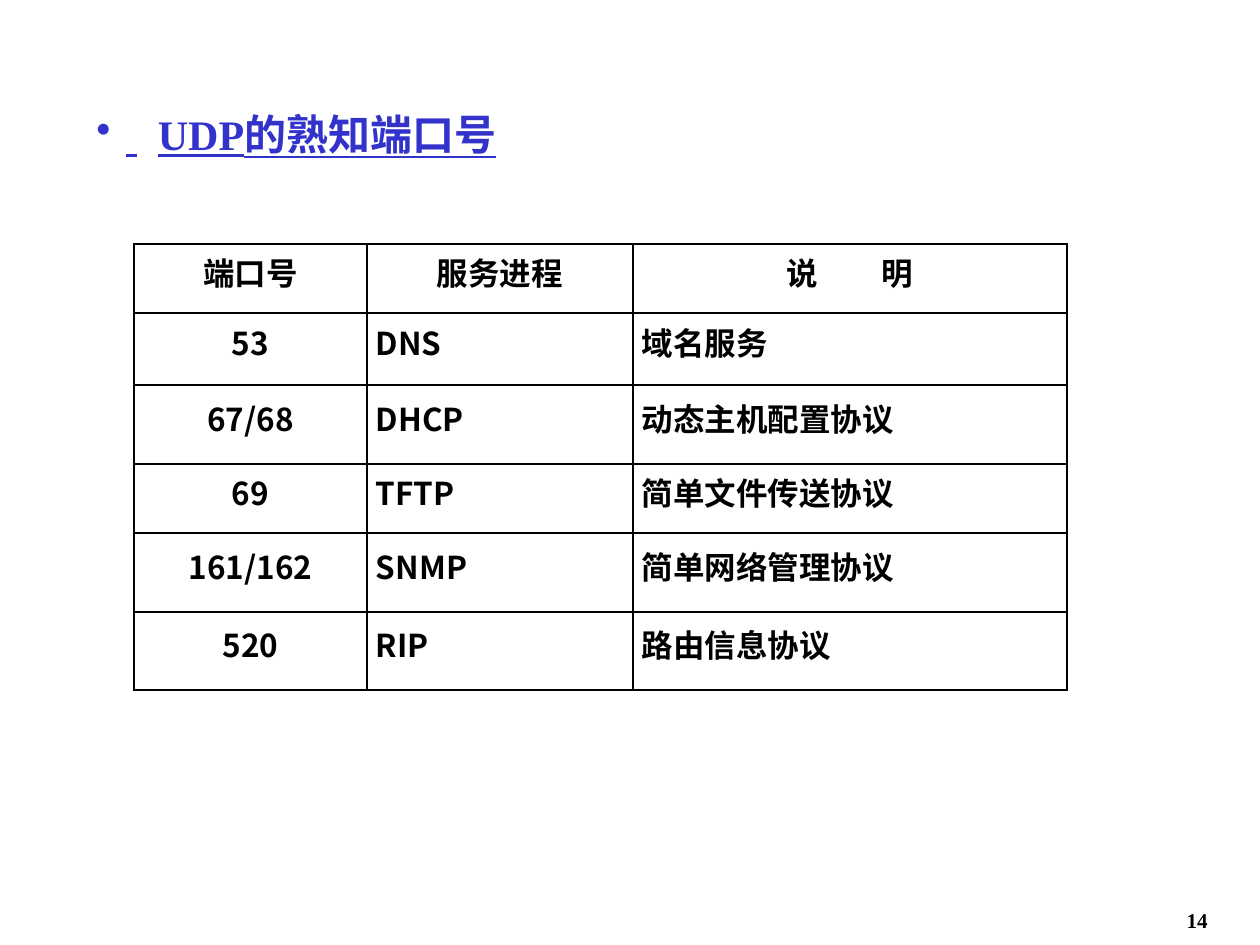
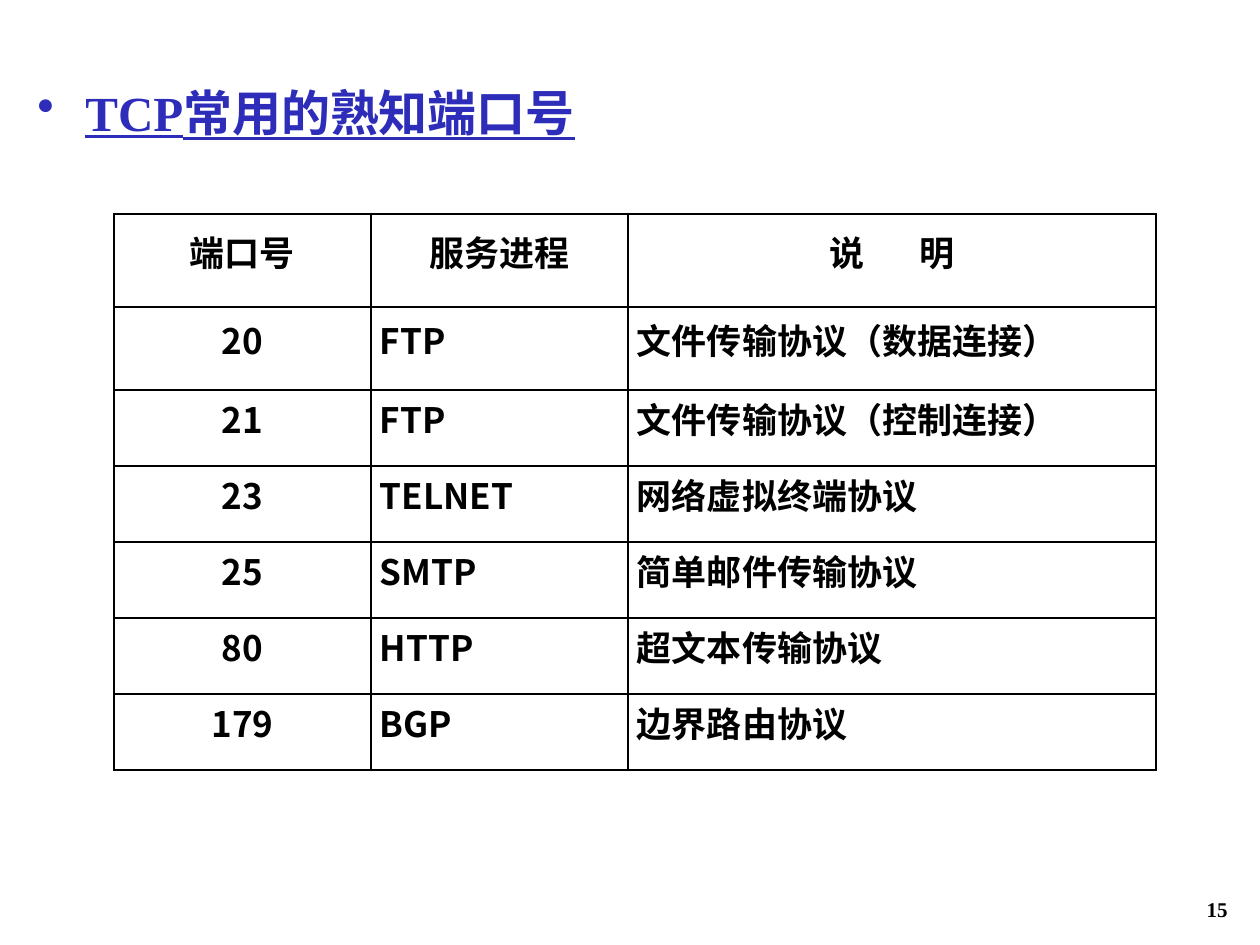
from itertools import accumulate
from lxml import etree
from pptx import Presentation, util as u
from pptx.dml.color import RGBColor
from pptx.enum import text as t
from pptx.oxml import ns

PX = 914400 // 126
SERIF, SANS = "Times New Roman", "Noto Sans CJK JP"
BLACK = RGBColor(0, 0, 0)
BLUE = RGBColor(0x33, 0x33, 0xCC)
NAVY = RGBColor(0x2D, 0x2D, 0xB9)
HEAD = ("端口号", "服务进程", "说 明")

# gap: points added to the single space of a text
# box: left, top, width, height in px
SLIDES = [
    dict(
        title=dict(text=" UDP的熟知端口号", gap=12, size=24, color=BLUE,
                   box=(84, 55, 1051, 158), hang=30, anchor=t.MSO_ANCHOR.MIDDLE),
        page=dict(text="14", box=(958, 901, 262, 44)),
        table=dict(at=(134, 244), cols=(233, 266, 434),
                   rows=(69, 72, 79, 69, 79, 78), size=18, gap=32, foot=1,
                   body=[("53", "DNS", "域名服务"),
                         ("67/68", "DHCP", "动态主机配置协议"),
                         ("69", "TFTP", "简单文件传送协议"),
                         ("161/162", "SNMP", "简单网络管理协议"),
                         ("520", "RIP", "路由信息协议")]),
    ),
    dict(
        title=dict(text="TCP常用的熟知端口号", gap=0, size=28, color=NAVY,
                   box=(25, 76, 1131, 118), hang=48, anchor=t.MSO_ANCHOR.TOP),
        page=dict(text="15", box=(978, 890, 262, 35)),
        table=dict(at=(114, 214), cols=(257, 257, 528),
                   rows=(93, 83) + (76,) * 5, size=20, gap=27, foot=1.5,
                   body=[("20", "FTP", "文件传输协议（数据连接）"),
                         ("21", "FTP", "文件传输协议（控制连接）"),
                         ("23", "TELNET", "网络虚拟终端协议"),
                         ("25", "SMTP", "简单邮件传输协议"),
                         ("80", "HTTP", "超文本传输协议"),
                         ("179", "BGP", "边界路由协议")]),
    ),
]


def px(*nums):
    return [n * PX for n in nums]


def sub(node, tag, **attrs):
    return etree.SubElement(node, ns.qn(tag), attrs)


def write(par, words, face, size, color=BLACK, gap=0):
    """Fill a paragraph in bold; gap widens its first space."""
    font = par.font
    font.name, font.size, font.bold = face, u.Pt(size), True
    font.color.rgb = color
    sub(par._p.pPr.find(ns.qn("a:defRPr")), "a:ea", typeface=SANS)
    for part in words.partition(" ") if gap else [words]:
        if part:
            run = par.add_run()
            run.text = part
            if part == " ":
                run._r.get_or_add_rPr().set("spc", str(gap * 100))


def add_box(slide, box, anchor=t.MSO_ANCHOR.TOP):
    frame = slide.shapes.add_textbox(*px(*box)).text_frame
    frame.word_wrap = True
    frame.vertical_anchor = anchor
    return frame.paragraphs[0]


def add_title(slide, text, gap, size, color, box, hang, anchor):
    par = add_box(slide, box, anchor)
    write(par, text, SERIF, size, color, gap)
    par.font.underline = True
    props = par._p.pPr
    props.set("marL", str(hang * PX))
    props.set("indent", str(-hang * PX))
    bullet = etree.Element(ns.qn("a:buChar"), {"char": "•"})
    props.find(ns.qn("a:defRPr")).addprevious(bullet)


def add_page(slide, text, box):
    par = add_box(slide, box)
    par.alignment = t.PP_ALIGN.RIGHT
    write(par, text, SERIF, 12)


def border(cell, widths):
    """Draw the left, right, top and bottom edges, in points."""
    props = cell._tc.get_or_add_tcPr()
    for i, (side, width) in enumerate(zip("LRTB", widths)):
        line = etree.Element(ns.qn("a:ln" + side), {"w": str(u.Pt(width))})
        sub(sub(line, "a:solidFill"), "a:srgbClr", val=str(BLACK))
        props.insert(i, line)


def add_ports(slide, at, cols, rows, size, gap, foot, body):
    shape = slide.shapes.add_table(len(rows), len(cols),
                                   *px(*at, sum(cols), sum(rows)))
    table = shape.table
    table.first_row = table.horz_banding = False
    for col, wide in zip(table.columns, cols):
        col.width = wide * PX
    for row, high in zip(table.rows, rows):
        row.height = high * PX
    for r, line in enumerate([HEAD] + body):
        for c, words in enumerate(line):
            cell = table.cell(r, c)
            cell.fill.background()
            cell.vertical_anchor = t.MSO_ANCHOR.MIDDLE
            cell.margin_left = cell.margin_right = 9 * PX
            cell.margin_top = cell.margin_bottom = 0
            par = cell.text_frame.paragraphs[0]
            par.line_spacing = u.Pt(18)
            centred = r == 0 or c == 0
            par.alignment = t.PP_ALIGN.CENTER if centred else t.PP_ALIGN.LEFT
            write(par, words, SANS, size, gap=gap)
            border(cell, (1.5 if c == 0 else 1,
                          1.5 if c == len(cols) - 1 else 1,
                          1.5 if r == 0 else 1,
                          foot if r == len(rows) - 1 else 1))


def main():
    deck = Presentation()
    deck.slide_width, deck.slide_height = px(1260, 945)
    for item in SLIDES:
        slide = deck.slides.add_slide(deck.slide_layouts[6])
        add_title(slide, **item["title"])
        add_ports(slide, **item["table"])
        add_page(slide, **item["page"])
    deck.save("out.pptx")


if __name__ == "__main__":
    main()
